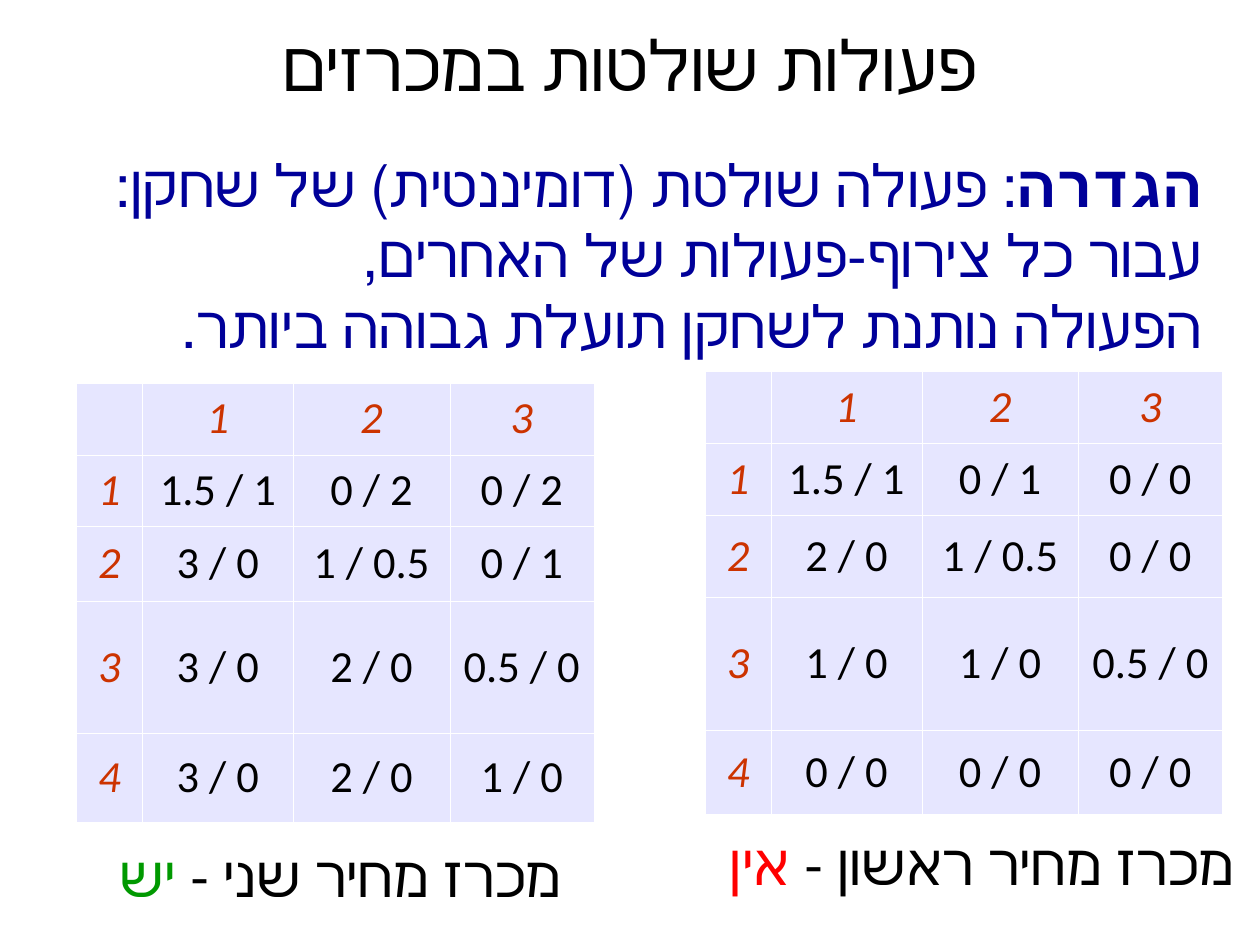
from pptx import Presentation
from pptx.util import Pt
from pptx.dml.color import RGBColor as RGB
from pptx.enum.text import PP_ALIGN as Align, MSO_ANCHOR as Anchor, MSO_AUTO_SIZE as Auto
from pptx.oxml import parse_xml
from pptx.oxml.ns import nsdecls

HUES = {
    "black": "000000", "white": "FFFFFF", "navy": "000099", "rust": "CC3300",
    "red": "FF0000", "green": "009900", "lilac": "E6E6FF",
}
COLS = [41.5, 95, 98.6, 90.7]


class Deck:
    def __init__(self, wide, high):
        self.prs = Presentation()
        self.prs.slide_width, self.prs.slide_height = Pt(wide), Pt(high)
        self.slide = self.prs.slides.add_slide(self.prs.slide_layouts[5])
        self.face = "Arial"
        self.grid = "Calibri"

    def style(self, run, size, hue, face, bold=False, slant=False):
        font = run.font
        font.name, font.size = face, Pt(size)
        font.bold, font.italic = bold, slant
        font.color.rgb = RGB.from_string(HUES[hue])

    def fill(self, shape, box, parts, size, align, inset=(0, 0), grow=True):
        shape.left, shape.top, shape.width, shape.height = map(Pt, box)
        frame = shape.text_frame
        frame.word_wrap = True
        frame.auto_size = Auto.SHAPE_TO_FIT_TEXT if grow else Auto.NONE
        frame.margin_left = frame.margin_right = Pt(inset[0])
        frame.margin_top = frame.margin_bottom = Pt(inset[1])
        par = frame.paragraphs[0]
        par.alignment = align
        par._p.get_or_add_pPr().set("rtl", "1")
        for text, hue, bold in parts:
            for num, line in enumerate(text.split("\n")):
                if num:
                    par.add_line_break()
                run = par.add_run()
                run.text = line
                self.style(run, size, hue, self.face, bold)

    def title(self, box, text):
        shape = self.slide.shapes.title
        self.fill(shape, box, [(text, "black", False)], 44, Align.CENTER)
        shape.text_frame.vertical_anchor = Anchor.MIDDLE

    def text(self, box, parts, size, inset=(0, 0), grow=True):
        shape = self.slide.shapes.add_textbox(*map(Pt, box))
        self.fill(shape, box, parts, size, Align.RIGHT, inset, grow)

    def caption(self, box, label, verdict, hue):
        parts = [(label, "black", False), (verdict, hue, False)]
        self.text(box, parts, 36, (7.2, 3.6))

    def edge(self, cell):
        props = cell._tc.get_or_add_tcPr()
        for side in ("lnL", "lnR", "lnT", "lnB"):
            props.append(parse_xml(
                f'<a:{side} {nsdecls("a")} w="762"><a:solidFill>'
                f'<a:srgbClr val="{HUES["white"]}"/></a:solidFill></a:{side}>'))

    def table(self, left, top, highs, rows):
        frame = self.slide.shapes.add_table(
            len(highs), len(COLS), Pt(left), Pt(top), Pt(sum(COLS)), Pt(sum(highs)))
        table = frame.table
        table.first_row = table.horz_banding = False
        for col, wide in zip(table.columns, COLS):
            col.width = Pt(wide)
        for row, high in zip(table.rows, highs):
            row.height = Pt(high)
        full = [["", "1", "2", "3"]]
        full += [[str(num), *row] for num, row in enumerate(rows, 1)]
        for y, row in enumerate(full):
            for x, text in enumerate(row):
                self.cell(table.cell(y, x), text, x == 0 or y == 0)

    def cell(self, cell, text, head):
        self.edge(cell)
        cell.fill.solid()
        cell.fill.fore_color.rgb = RGB.from_string(HUES["lilac"])
        cell.vertical_anchor = Anchor.MIDDLE
        par = cell.text_frame.paragraphs[0]
        par.text = text
        par.alignment = Align.CENTER
        for run in par.runs:
            self.style(run, 28, "rust" if head else "black", self.grid, slant=head)


def main():
    deck = Deck(793.7, 595.28)
    deck.title((39.6, 14.4, 714.2, 51.1), "פעולות שולטות במכרזים")
    deck.text((43.2, 93.6, 714.2, 185), [
        ("הגדרה", "navy", True),
        (": פעולה שולטת (דומיננטית) של שחקן:\n"
         "עבור כל צירוף-פעולות של האחרים,\n"
         "הפעולה נותנת לשחקן תועלת גבוהה ביותר.", "navy", False),
    ], 37, grow=False)
    deck.table(444.2, 234, [45.2, 45.2, 51.8, 83.5, 53.3], [
        ["1.5 / 1", "0 / 1", "0 / 0"],
        ["2 / 0", "1 / 0.5", "0 / 0"],
        ["1 / 0", "1 / 0", "0.5 / 0"],
        ["0 / 0", "0 / 0", "0 / 0"],
    ])
    deck.caption((446.4, 518.4, 338.4, 90.7), "מכרז מחיר ראשון - ", "אין", "red")
    deck.table(48.2, 241.2, [45.2, 45.2, 46.8, 83.5, 56.2], [
        ["1.5 / 1", "0 / 2", "0 / 2"],
        ["3 / 0", "1 / 0.5", "0 / 1"],
        ["3 / 0", "2 / 0", "0.5 / 0"],
        ["3 / 0", "2 / 0", "1 / 0"],
    ])
    deck.caption((57.6, 525.6, 303.1, 90.7), "מכרז מחיר שני - ", "יש", "green")
    deck.prs.save("out.pptx")


if __name__ == "__main__":
    main()
